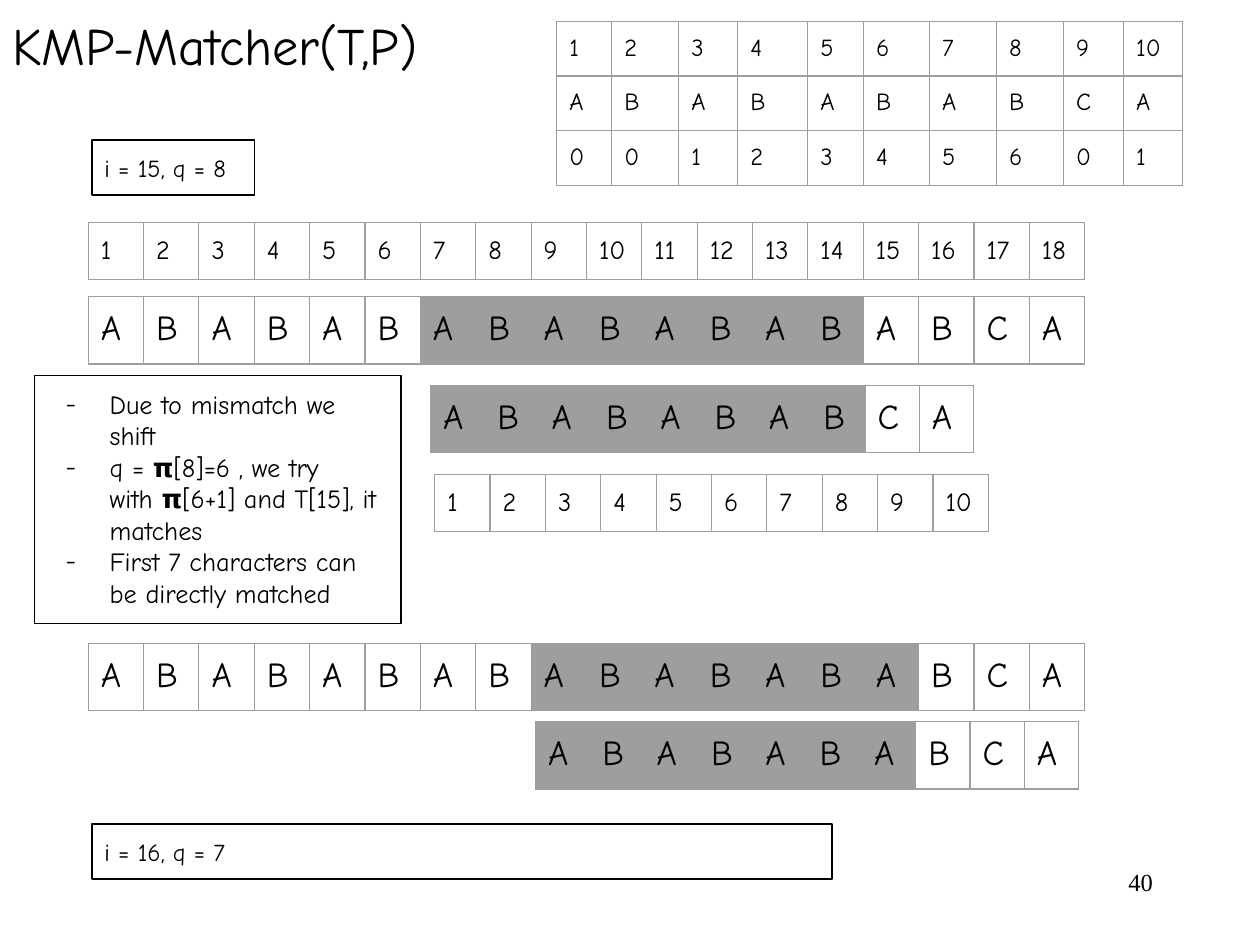
from dataclasses import dataclass
from typing import Optional, Sequence

from lxml import etree
from pptx import Presentation
from pptx.dml.color import RGBColor
from pptx.enum.shapes import MSO_SHAPE
from pptx.enum.text import MSO_ANCHOR, MSO_AUTO_SIZE, PP_ALIGN
from pptx.oxml.ns import qn
from pptx.util import Pt

RECTANGLE = MSO_SHAPE.RECTANGLE
TOP = MSO_ANCHOR.TOP
GROW = MSO_AUTO_SIZE.SHAPE_TO_FIT_TEXT
FIXED = MSO_AUTO_SIZE.NONE
LEFT, RIGHT = PP_ALIGN.LEFT, PP_ALIGN.RIGHT


@dataclass(frozen=True)
class Theme:
    ink: str = "000000"
    gray: str = "9E9E9E"
    font: str = "Comic Neue"
    number_font: str = "Times New Roman"
    title: float = 30
    letter: float = 20
    index: float = 15
    small: float = 14
    line: float = 0.75
    inset: float = 7.2
    row: float = 30.24


THEME = Theme()


@dataclass(frozen=True)
class Grid:
    left: float
    top: float
    widths: Sequence[float]
    rows: Sequence[Sequence[str]]
    size: float
    shaded: range = range(0)


@dataclass(frozen=True)
class Panel:
    left: float
    top: float
    width: float
    height: float
    lines: Sequence[str]
    size: float
    bullet: Optional[str] = None


def numbers(count: int) -> list[str]:
    return [str(number) for number in range(1, count + 1)]


def add_bullet(para, mark: str) -> None:
    properties = para._p.get_or_add_pPr()
    properties.set("marL", str(Pt(36)))
    properties.set("indent", str(Pt(-25.2)))
    color = etree.SubElement(properties, qn("a:buClr"))
    etree.SubElement(color, qn("a:srgbClr"), val=THEME.ink)
    etree.SubElement(properties, qn("a:buFont"), typeface=THEME.font)
    etree.SubElement(properties, qn("a:buChar"), char=mark)


def write_text(frame, lines: Sequence[str], *, size: float,
               font: str = THEME.font, align=LEFT,
               bullet: Optional[str] = None) -> None:
    for position, line in enumerate(lines):
        para = frame.add_paragraph() if position else frame.paragraphs[0]
        if bullet:
            add_bullet(para, bullet)
        para.alignment = align
        span = para.add_run()
        span.text = line
        span.font.size = Pt(size)
        span.font.name = font
        span.font.color.rgb = RGBColor.from_string(THEME.ink)


def set_frame(frame, inset_y: float = THEME.inset, auto_size=GROW) -> None:
    frame.word_wrap = True
    frame.auto_size = auto_size
    frame.vertical_anchor = TOP
    frame.margin_left = frame.margin_right = Pt(THEME.inset)
    frame.margin_top = frame.margin_bottom = Pt(inset_y)


def set_borders(cell) -> None:
    properties = cell._tc.get_or_add_tcPr()
    for side in ("a:lnL", "a:lnR", "a:lnT", "a:lnB"):
        line = etree.SubElement(properties, qn(side), w=str(Pt(THEME.line)))
        fill = etree.SubElement(line, qn("a:solidFill"))
        etree.SubElement(fill, qn("a:srgbClr"), val=THEME.gray)


def draw_grid(page, grid: Grid) -> None:
    table = page.shapes.add_table(
        len(grid.rows), len(grid.widths), Pt(grid.left), Pt(grid.top),
        Pt(sum(grid.widths)), Pt(THEME.row * len(grid.rows))).table
    table.first_row = table.horz_banding = False
    for column, width in zip(table.columns, grid.widths):
        column.width = Pt(width)
    for row, values in enumerate(grid.rows):
        table.rows[row].height = Pt(THEME.row)
        for column, value in enumerate(values):
            cell = table.cell(row, column)
            cell.margin_left = cell.margin_right = Pt(THEME.inset)
            cell.margin_top = cell.margin_bottom = Pt(THEME.inset)
            set_borders(cell)
            if column in grid.shaded:
                cell.fill.solid()
                cell.fill.fore_color.rgb = RGBColor.from_string(THEME.gray)
            else:
                cell.fill.background()
            write_text(cell.text_frame, [value], size=grid.size)


def draw_panel(page, panel: Panel) -> None:
    box = page.shapes.add_shape(RECTANGLE, Pt(panel.left), Pt(panel.top),
                                Pt(panel.width), Pt(panel.height))
    box.shadow.inherit = False
    box.fill.background()
    box.line.color.rgb = RGBColor.from_string(THEME.ink)
    box.line.width = Pt(THEME.line)
    set_frame(box.text_frame)
    write_text(box.text_frame, panel.lines, size=panel.size,
               bullet=panel.bullet)


PATTERN = "ABABABABCA"
TEXT = "ABABAB" + "ABABABAB" + "ABCA"
PREFIX_VALUES = "0012345601"
TEXT_WIDTHS = [31.65] * len(TEXT)
INDEX_WIDTHS = [31.65] * len(PATTERN)
PATTERN_WIDTHS = [31.05] * len(PATTERN)
PREFIX_WIDTHS = [31.4, 38.3, 33.7, 40, 32, 37.7, 38.3, 38.3, 34.3, 33.7]

GRIDS = [
    Grid(318.2, 12.2, PREFIX_WIDTHS,
         [numbers(10), PATTERN, PREFIX_VALUES], THEME.small),
    Grid(50.4, 127.4, TEXT_WIDTHS, [numbers(18)], THEME.index),
    Grid(50.4, 169.6, TEXT_WIDTHS, [TEXT], THEME.letter, range(6, 14)),
    Grid(246, 220.3, PATTERN_WIDTHS, [PATTERN], THEME.letter, range(8)),
    Grid(248.4, 271.4, INDEX_WIDTHS, [numbers(10)], THEME.index),
    Grid(50.4, 367.7, TEXT_WIDTHS, [TEXT], THEME.letter, range(8, 15)),
    Grid(306, 412.4, PATTERN_WIDTHS, [PATTERN], THEME.letter, range(7)),
]

PANELS = [
    Panel(52.6, 80, 92.9, 31.5, ["i = 15, q = 8"], THEME.small),
    Panel(52.6, 470.9, 422.9, 31.5, ["i = 16, q = 7"], THEME.small),
    Panel(19.6, 214.4, 209.6, 142, [
        "Due to mismatch we shift",
        "q = 𝝿[8]=6 , we try with 𝝿[6+1] and T[15], it matches",
        "First 7 characters can be directly matched",
    ], THEME.index, "-"),
]


def main() -> None:
    deck = Presentation()
    deck.slide_width, deck.slide_height = Pt(720), Pt(540)
    page = deck.slides.add_slide(deck.slide_layouts[6])

    title = page.shapes.add_textbox(Pt(0), Pt(0), Pt(286.6), Pt(51))
    set_frame(title.text_frame)
    write_text(title.text_frame, ["KMP-Matcher(T,P)"], size=THEME.title)

    for grid in GRIDS:
        draw_grid(page, grid)
    for panel in PANELS:
        draw_panel(page, panel)

    number = page.shapes.add_textbox(Pt(516), Pt(492), Pt(150), Pt(36))
    set_frame(number.text_frame, inset_y=3.6, auto_size=FIXED)
    write_text(number.text_frame, ["40"], size=THEME.small,
               font=THEME.number_font, align=RIGHT)

    deck.save("out.pptx")


if __name__ == "__main__":
    main()
